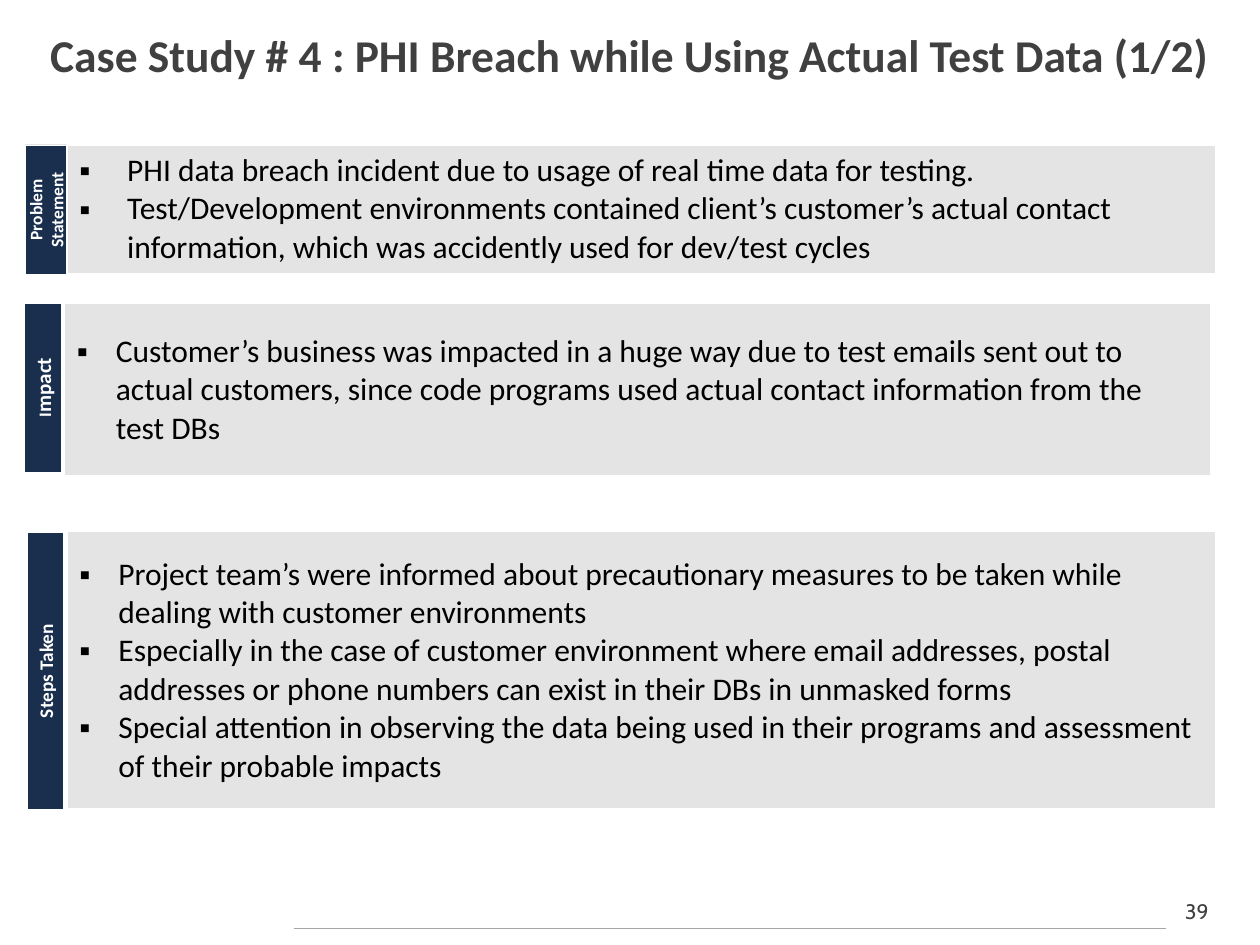
from lxml import etree
from pptx import Presentation
from pptx.dml.color import RGBColor
from pptx.enum.shapes import MSO_CONNECTOR as CONN, MSO_SHAPE as SHAPE
from pptx.enum.text import MSO_ANCHOR as ANCHOR, PP_ALIGN as ALIGN
from pptx.oxml.ns import qn
from pptx.util import Inches, Pt

COLORS = {"text": "000000", "heading": "404040", "navy": "1A2F4E",
          "panel": "E4E4E4", "white": "FFFFFF", "rule": "A6A6A6"}
TITLE = "Case Study # 4 : PHI Breach while Using Actual Test Data (1/2)"
PAGE = "39"
SECTIONS = [
    {"label": [[("Problem", 10)], [("Statement", 10)]],
     "tab": (-0.15, 1.5, 1.03, 0.33), "panel": (0.53, 1.15, 9.12, 1.02), "indent": 0.38,
     "bullets": [
         "PHI data breach incident due to usage of real time data for testing.",
         "Test/Development environments contained client’s customer’s actual contact "
         "information, which was accidently used for dev/test cycles"]},
    {"label": [[("I", 10), ("mpact", 12)]],
     "tab": (-0.33, 2.93, 1.34, 0.29), "panel": (0.51, 2.41, 9.1, 1.37), "indent": 0.31,
     "bullets": [
         "Customer’s business was impacted in a huge way due to test emails sent out to "
         "actual customers, since code programs used actual contact information from the "
         "test DBs"]},
    {"label": [[("Steps Taken", 11)]],
     "tab": (-0.74, 5.18, 2.2, 0.29), "panel": (0.53, 4.22, 9.12, 2.2), "indent": 0.31,
     "bullets": [
         "Project team’s were informed about precautionary measures to be taken while "
         "dealing with customer environments",
         "Especially in the case of customer environment where email addresses, postal "
         "addresses or phone numbers can exist in their DBs in unmasked forms",
         "Special attention in observing the data being used in their programs and "
         "assessment of their probable impacts"]},
]


def rgb(name):
    return RGBColor.from_string(COLORS[name])


def box(values):
    return [Inches(v) for v in values]


def style(r, size, color, bold=False, font="Calibri"):
    r.font.name, r.font.size, r.font.bold = font, Pt(size), bold
    r.font.color.rgb = rgb(color)


def add_text(slide, at, text, align, size, bold, font):
    tf = slide.shapes.add_textbox(*box(at)).text_frame
    tf.word_wrap = True
    tf.vertical_anchor = ANCHOR.MIDDLE
    tf.text = text
    p = tf.paragraphs[0]
    p.alignment = align
    style(p.runs[0], size, "heading", bold, font)


def set_bullet(p, indent):
    pPr = p._p.get_or_add_pPr()
    pPr.set("marL", str(Inches(indent)))
    pPr.set("indent", str(-Inches(indent)))
    etree.SubElement(pPr, qn("a:buFont"), typeface="Arial")
    etree.SubElement(pPr, qn("a:buChar"), char="▪")


def set_borders(cell):
    tcPr = cell._tc.get_or_add_tcPr()
    for i, side in enumerate(("lnL", "lnR", "lnT", "lnB")):
        ln = etree.Element(qn(f"a:{side}"), w=str(Pt(1)))
        fill = etree.SubElement(ln, qn("a:solidFill"))
        etree.SubElement(fill, qn("a:srgbClr"), val=COLORS["white"])
        tcPr.insert(i, ln)


def add_panel(slide, at, bullets, indent):
    table = slide.shapes.add_table(1, 1, *box(at)).table
    table.first_row = table.horz_banding = False
    cell = table.cell(0, 0)
    cell.fill.solid()
    cell.fill.fore_color.rgb = rgb("panel")
    set_borders(cell)
    cell.vertical_anchor = ANCHOR.MIDDLE
    cell.text_frame.text = "\n".join(bullets)
    for p in cell.text_frame.paragraphs:
        set_bullet(p, indent)
        style(p.runs[0], 18, "text")


def add_tab(slide, at, label):
    sp = slide.shapes.add_shape(SHAPE.RECTANGLE, *box(at))
    sp.rotation = 270
    sp.shadow.inherit = False
    sp.fill.solid()
    sp.fill.fore_color.rgb = rgb("navy")
    sp.line.color.rgb = rgb("white")
    sp.line.width = Pt(0.25)
    tf = sp.text_frame
    tf.vertical_anchor = ANCHOR.MIDDLE
    for i, line in enumerate(label):
        p = tf.add_paragraph() if i else tf.paragraphs[0]
        p.alignment = ALIGN.CENTER
        for text, size in line:
            r = p.add_run()
            r.text = text
            style(r, size, "white", True)


def main():
    prs = Presentation()
    prs.slide_width, prs.slide_height = Inches(10), Inches(7.5)
    slide = prs.slides.add_slide(prs.slide_layouts[6])

    add_text(slide, (9.25, 7.08, 0.5, 0.3), PAGE, ALIGN.CENTER, 12, False, "Cabin")
    rule = slide.shapes.add_connector(CONN.STRAIGHT, *box((2.33, 7.37, 9.25, 7.37)))
    rule.line.color.rgb = rgb("rule")
    rule.line.width = Pt(0.75)
    etree.SubElement(rule._element.spPr, qn("a:effectLst"))
    add_text(slide, (0.3, 0.12, 9.7, 0.63), TITLE, ALIGN.LEFT, 26, True, "Calibri")

    for section in SECTIONS:
        add_panel(slide, section["panel"], section["bullets"], section["indent"])
    for section in SECTIONS:
        add_tab(slide, section["tab"], section["label"])

    prs.save("out.pptx")


if __name__ == "__main__":
    main()
